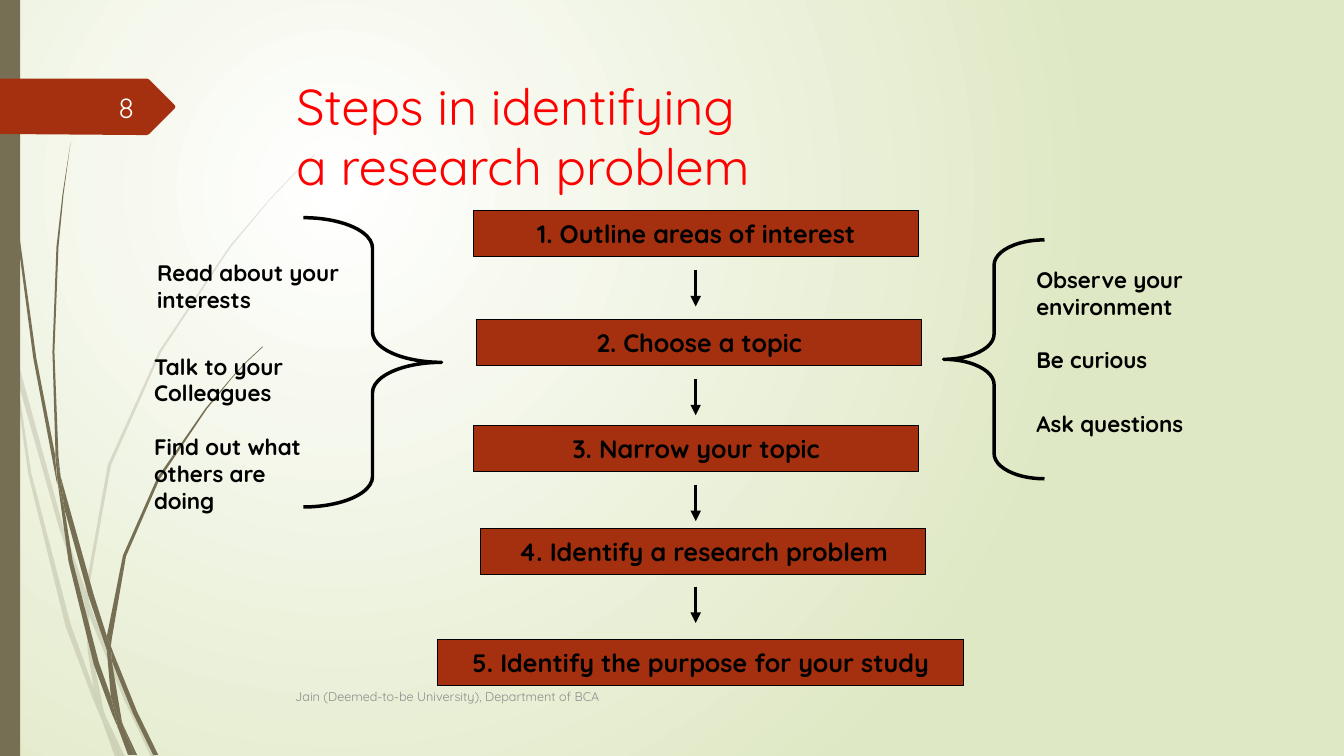
import pptx
import pptx.util
from pptx.dml.color import RGBColor
from pptx.enum.shapes import MSO_CONNECTOR, MSO_SHAPE
from pptx.enum.text import MSO_ANCHOR, PP_ALIGN
from pptx.oxml.ns import qn
from lxml import etree

PX = 9144  # 100 px to the inch
FONT = "Quicksand"
BLACK = RGBColor(0x00, 0x00, 0x00)
WHITE = RGBColor(0xFF, 0xFF, 0xFF)
PALE_GREEN = RGBColor(0xDF, 0xE8, 0xC4)
OLIVE = RGBColor(0x76, 0x6F, 0x54)
RUST = RGBColor(0xA5, 0x30, 0x10)
RED = RGBColor(0xFF, 0x00, 0x00)
GREY = RGBColor(0x8C, 0x8C, 0x8C)
NUMBER_WHITE = RGBColor(0xFE, 0xFF, 0xFF)

# Outlines of the grass blades, from top to bottom of each tuft
PALE_BLADES = [
    [(11, 350), (9, 322), (0, 282), (0, 299), (10, 344)],
    [(58, 522), (84, 599), (85, 586), (62, 520), (14, 345), (17, 376)],
    [(92, 607), (88, 596), (88, 610), (123, 694), (150, 751), (155, 751), (127, 692)],
    [(119, 751), (124, 751), (105, 711)],
    [(93, 683), (70, 619), (31, 469), (17, 376), (11, 350), (28, 470), (65, 621),
     (92, 693), (101, 714), (99, 707)],
    [(84, 599), (87, 646), (93, 683), (96, 692), (105, 711), (103, 706), (91, 646),
     (88, 610), (88, 608)],
    [(88, 584), (110, 462), (160, 349), (229, 245), (268, 198), (290, 175), (312, 154),
     (312, 153), (289, 175), (268, 197), (228, 244), (158, 348), (107, 461), (85, 584),
     (85, 586), (88, 596)],
    [(101, 714), (114, 751), (119, 751)],
    [(88, 608), (88, 610), (88, 596), (85, 586), (84, 599)],
    [(96, 692), (93, 683), (99, 707), (101, 714), (119, 751), (105, 711)],
]
DARK_BLADES = [
    [(7, 110), (17, 233), (33, 355), (56, 477), (57, 481), (55, 457), (55, 453),
     (36, 355), (19, 232), (8, 109), (5, 48), (4, 0), (3, 0), (4, 48)],
    [(88, 592), (106, 645), (106, 633), (106, 631), (93, 590), (60, 472), (64, 505)],
    [(113, 649), (110, 641), (111, 656), (132, 708), (152, 749), (157, 749), (136, 706)],
    [(110, 691), (98, 657), (72, 556), (64, 505), (57, 477), (68, 557), (93, 659),
     (111, 708), (117, 722), (116, 717)],
    [(60, 472), (58, 453), (54, 349), (58, 245), (63, 193), (70, 141), (62, 193),
     (56, 245), (52, 349), (55, 449)],
    [(133, 749), (136, 749), (122, 719)],
    [(57, 477), (64, 505), (60, 472), (55, 449), (55, 453)],
    [(111, 633), (125, 552), (158, 476), (205, 406), (231, 374), (245, 359), (261, 344),
     (260, 344), (245, 358), (231, 373), (204, 405), (156, 474), (122, 551), (106, 631),
     (110, 641)],
    [(117, 722), (127, 749), (131, 749)],
    [(106, 645), (110, 691), (116, 706), (122, 719), (121, 716), (111, 656), (109, 651)],
    [(106, 645), (109, 651), (111, 656), (110, 641), (106, 631), (106, 633)],
    [(116, 706), (110, 691), (116, 717), (117, 722), (130, 749), (133, 749), (122, 719)],
]
POINTER = [(173, 108), (148, 133), (146, 134), (136, 134), (0, 133), (0, 78),
           (146, 78), (148, 79), (173, 104), (174, 106)]


def draw_outline(shapes, points, color):
    builder = shapes.build_freeform(*points[0], scale=PX)
    builder.add_line_segments(points[1:], close=True)
    outline = builder.convert_to_shape()
    outline.shadow.inherit = False
    outline.fill.solid()
    outline.fill.fore_color.rgb = color
    outline.line.fill.background()
    return outline


def write(box, lines, size, color, bold=False, align=PP_ALIGN.LEFT, anchor=MSO_ANCHOR.TOP):
    """Fill a shape with (text, space before) paragraphs in one style."""
    frame = box.text_frame
    frame.word_wrap = True
    frame.vertical_anchor = anchor
    for index, (text, gap) in enumerate(lines):
        para = frame.add_paragraph() if index else frame.paragraphs[0]
        para.text = text
        para.alignment = align
        if gap:
            para.space_before = pptx.util.Pt(gap)
        for span in para.runs:
            span.font.name = FONT
            span.font.size = pptx.util.Pt(size)
            span.font.bold = bold
            span.font.color.rgb = color


deck = pptx.Presentation()
deck.slide_width = 1333 * PX
deck.slide_height = 750 * PX
page = deck.slides.add_slide(deck.slide_layouts[5])
shapes = page.shapes

# Background: a round glow centred in the upper left
backdrop = page.background.fill
backdrop.gradient()
for stop, color, position in zip(backdrop.gradient_stops, (WHITE, PALE_GREEN), (0, 1)):
    stop.color.rgb = color
    stop.position = position
gradient = page.background._cSld.find(".//" + qn("a:gradFill"))
gradient.remove(gradient.find(qn("a:lin")))
glow = etree.SubElement(gradient, qn("a:path"), path="circle")
etree.SubElement(glow, qn("a:fillToRect"), l="50000", t="50000", r="100000", b="100000")

# Grass, side bar and page pointer
for blades, alpha in ((PALE_BLADES, 20), (DARK_BLADES, 100)):
    tuft = shapes.add_group_shape()
    for points in blades:
        blade = draw_outline(tuft.shapes, points, OLIVE)
        if alpha < 100:
            tint = blade._element.spPr.find(".//" + qn("a:srgbClr"))
            etree.SubElement(tint, qn("a:alpha"), val=str(alpha * 1000))

side_bar = shapes.add_shape(MSO_SHAPE.RECTANGLE, 0, 0, 20 * PX, 750 * PX)
side_bar.shadow.inherit = False
side_bar.fill.solid()
side_bar.fill.fore_color.rgb = OLIVE
side_bar.line.fill.background()
draw_outline(shapes, POINTER, RUST)

# Title, brought in front of the grass
title = shapes.title
title.left, title.top, title.width, title.height = (n * PX for n in (284, 69, 975, 140))
write(title, [("Steps in identifying\va research problem", 0)], 36, RED)
title._element.getparent().append(title._element)

footer = shapes.add_textbox(283 * PX, 671 * PX, 833 * PX, 40 * PX)
write(footer, [("Jain (Deemed-to-be University), Department of BCA", 0)], 9, GREY,
      anchor=MSO_ANCHOR.MIDDLE)
number = shapes.add_textbox(58 * PX, 86 * PX, 85 * PX, 40 * PX)
write(number, [("8", 0)], 20, NUMBER_WHITE, align=PP_ALIGN.RIGHT, anchor=MSO_ANCHOR.MIDDLE)

# The five steps
STEPS = [
    ("1. Outline areas of interest", 470, 209, 441),
    ("2. Choose a topic", 473, 317, 441),
    ("3. Narrow your topic", 470, 422, 441),
    ("4. Identify a research problem", 477, 524, 441),
    ("5. Identify the purpose for your study", 434, 634, 522),
]
for text, left, top, width in STEPS:
    step = shapes.add_shape(MSO_SHAPE.RECTANGLE, left * PX, top * PX, width * PX, 46 * PX)
    step.shadow.inherit = False
    step.fill.solid()
    step.fill.fore_color.rgb = RUST
    step.line.color.rgb = BLACK
    step.line.width = pptx.util.Pt(0.75)
    write(step, [(text, 0)], 18, BLACK, True, PP_ALIGN.CENTER, MSO_ANCHOR.MIDDLE)
    step.text_frame.word_wrap = False

for top in (268, 376, 481, 582):
    arrow = shapes.add_connector(MSO_CONNECTOR.STRAIGHT, 690 * PX, top * PX,
                                 690 * PX, (top + 36) * PX)
    arrow.line.color.rgb = BLACK
    arrow.line.width = pptx.util.Pt(2.5)
    etree.SubElement(arrow.line._get_or_add_ln(), qn("a:tailEnd"), type="triangle")
    etree.SubElement(arrow._element.spPr, qn("a:effectLst"))

# Braces and the advice beside them
BRACES = [
    (MSO_SHAPE.RIGHT_BRACE, 301, 216, 137, 287, 0.22),
    (MSO_SHAPE.LEFT_BRACE, 936, 238, 100, 237, 0.25),
]
for kind, left, top, width, height, curl in BRACES:
    brace = shapes.add_shape(kind, left * PX, top * PX, width * PX, height * PX)
    brace.adjustments[0] = curl
    brace.adjustments[1] = 0.5
    brace.shadow.inherit = False
    brace.fill.background()
    brace.line.color.rgb = BLACK
    brace.line.width = pptx.util.Pt(2.5)

ADVICE = [
    (146, 252, 256, 58, [("Read about your interests", 0)]),
    (143, 345, 194, 155, [("Talk to your", 0), ("Colleagues", 0),
                          ("Find out what others are doing", 19)]),
    (1018, 259, 274, 107, [("Observe your environment", 0), ("Be curious", 19)]),
    (1018, 402, 218, 34, [("Ask questions", 0)]),
]
for left, top, width, height, lines in ADVICE:
    advice = shapes.add_textbox(left * PX, top * PX, width * PX, height * PX)
    write(advice, lines, 16, BLACK, True)

deck.save("out.pptx")
